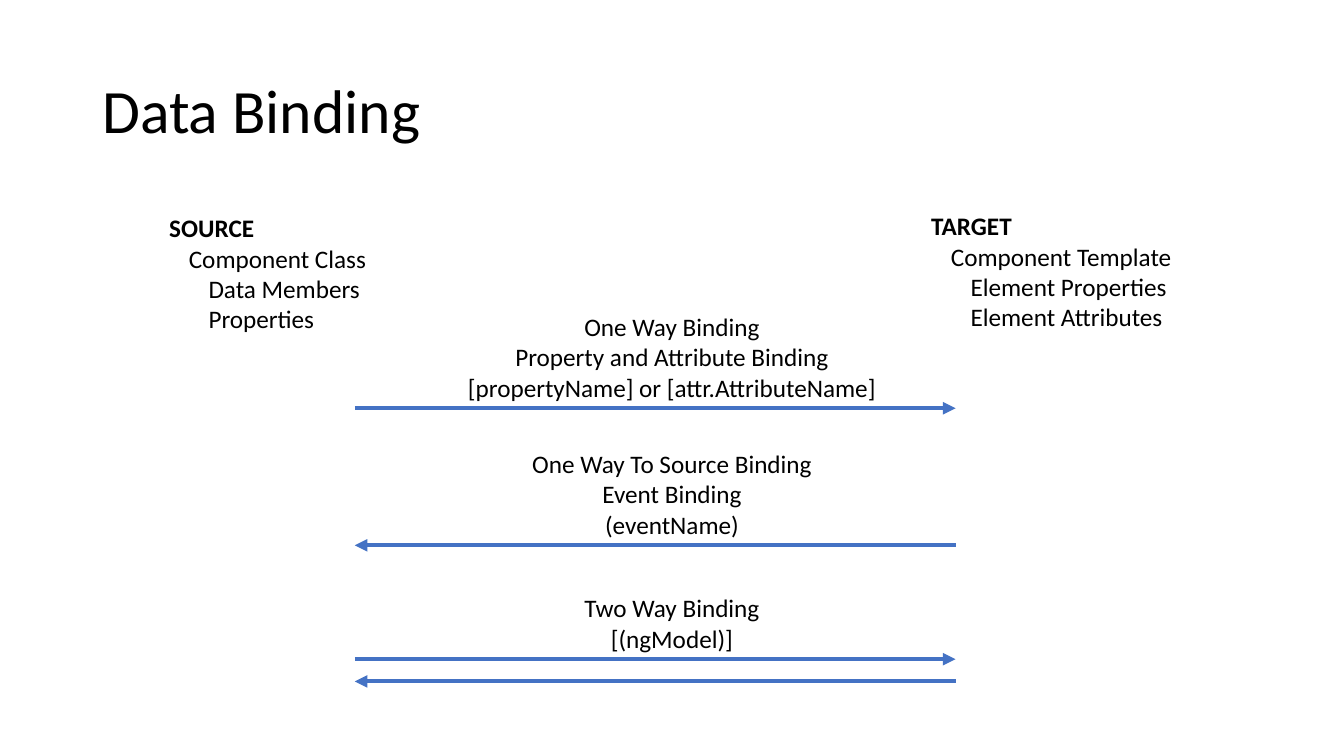
import dataclasses

import lxml.etree
import pptx
import pptx.dml.color
import pptx.enum.shapes
import pptx.enum.text
import pptx.oxml.ns
import pptx.util

COLUMNS, ROWS = 80, 45
CELL = pptx.util.Inches(1 / 6)
FONT, BLACK, BLUE = "Calibri", "000000", "4472C4"
SOURCE_EDGE, TARGET_EDGE = 21.12, 56.88
CENTRE = COLUMNS / 2
LINE_ROWS, INSET_ROWS = 1.8, 0.66
INDENT = 1.17
ARROW_GAP = 1.32

ALIGN = pptx.enum.text.PP_ALIGN
ANCHOR = pptx.enum.text.MSO_ANCHOR
AUTO_SIZE = pptx.enum.text.MSO_AUTO_SIZE


@dataclasses.dataclass
class Endpoint:
    """A heading above lines that are each (indent level, text)."""
    heading: str
    left: float
    top: float
    width: float
    members: list[tuple[int, str]]


@dataclasses.dataclass
class Binding:
    """Lines of text standing on one or two arrows."""
    lines: list[str]
    width: float
    arrow_row: float
    to_target: bool
    to_source: bool


ENDPOINTS = [
    Endpoint("SOURCE", 9.48, 12.36, 13.08,
             [(1, "Component Class"), (2, "Data Members"), (2, "Properties")]),
    Endpoint("TARGET", 54.84, 12.24, 15.72,
             [(1, "Component Template"), (2, "Element Properties"),
              (2, "Element Attributes")]),
]

BINDINGS = [
    Binding(["One Way Binding", "Property and Attribute Binding",
             "[propertyName] or [attr.AttributeName]"], 25.8, 24.3, True, False),
    Binding(["One Way To Source Binding", "Event Binding", "(eventName)"],
            18.06, 32.46, False, True),
    Binding(["Two Way Binding", "[(ngModel)]"], 11.76, 39.24, True, True),
]


def grid(cells: float) -> int:
    return round(cells * CELL)


def colour(value: str) -> pptx.dml.color.RGBColor:
    return pptx.dml.color.RGBColor.from_string(value)


def text_height(line_count: int) -> float:
    return line_count * LINE_ROWS + INSET_ROWS


def add_text(page, left: float, top: float, width: float, height: float,
             lines: list[str], size: int = 18):
    box = page.shapes.add_textbox(grid(left), grid(top), grid(width), grid(height))
    frame = box.text_frame
    frame.text = "\n".join(lines)
    frame.word_wrap = False
    frame.auto_size = AUTO_SIZE.SHAPE_TO_FIT_TEXT
    for para in frame.paragraphs:
        for span in para.runs:
            span.font.name = FONT
            span.font.size = pptx.util.Pt(size)
            span.font.color.rgb = colour(BLACK)
    return frame


def add_title(page, title: str) -> None:
    frame = add_text(page, 5.5, 2.4, 69, 8.7, [title], 44)
    frame.word_wrap = True
    frame.auto_size = AUTO_SIZE.NONE
    frame.vertical_anchor = ANCHOR.MIDDLE
    frame.paragraphs[0].line_spacing = 0.9


def add_endpoint(page, endpoint: Endpoint) -> None:
    lines = [endpoint.heading] + [text for _, text in endpoint.members]
    frame = add_text(page, endpoint.left, endpoint.top, endpoint.width,
                     text_height(len(lines)), lines)
    heading, *members = frame.paragraphs
    heading.runs[0].font.bold = True
    for para, (level, _) in zip(members, endpoint.members):
        para._p.get_or_add_pPr().set("marL", str(grid(level * INDENT)))


def add_arrow(page, start: float, end: float, row: float) -> None:
    arrow = page.shapes.add_connector(
        pptx.enum.shapes.MSO_CONNECTOR.STRAIGHT,
        grid(start), grid(row), grid(end), grid(row))
    arrow.line.color.rgb = colour(BLUE)
    arrow.line.width = pptx.util.Pt(3)
    qn = pptx.oxml.ns.qn
    lxml.etree.SubElement(arrow.line._get_or_add_ln(), qn("a:tailEnd"), type="triangle")
    lxml.etree.SubElement(arrow._element.spPr, qn("a:effectLst"))


def add_binding(page, binding: Binding) -> None:
    height = text_height(len(binding.lines))
    frame = add_text(page, CENTRE - binding.width / 2, binding.arrow_row - height,
                     binding.width, height, binding.lines)
    for para in frame.paragraphs:
        para.alignment = ALIGN.CENTER
    row = binding.arrow_row
    if binding.to_target:
        add_arrow(page, SOURCE_EDGE, TARGET_EDGE, row)
        row += ARROW_GAP
    if binding.to_source:
        add_arrow(page, TARGET_EDGE, SOURCE_EDGE, row)


def main() -> None:
    deck = pptx.Presentation()
    deck.slide_width, deck.slide_height = grid(COLUMNS), grid(ROWS)
    page = deck.slides.add_slide(deck.slide_layouts[6])
    add_title(page, "Data Binding")
    for endpoint in ENDPOINTS:
        add_endpoint(page, endpoint)
    for binding in BINDINGS:
        add_binding(page, binding)
    deck.save("out.pptx")


if __name__ == "__main__":
    main()
